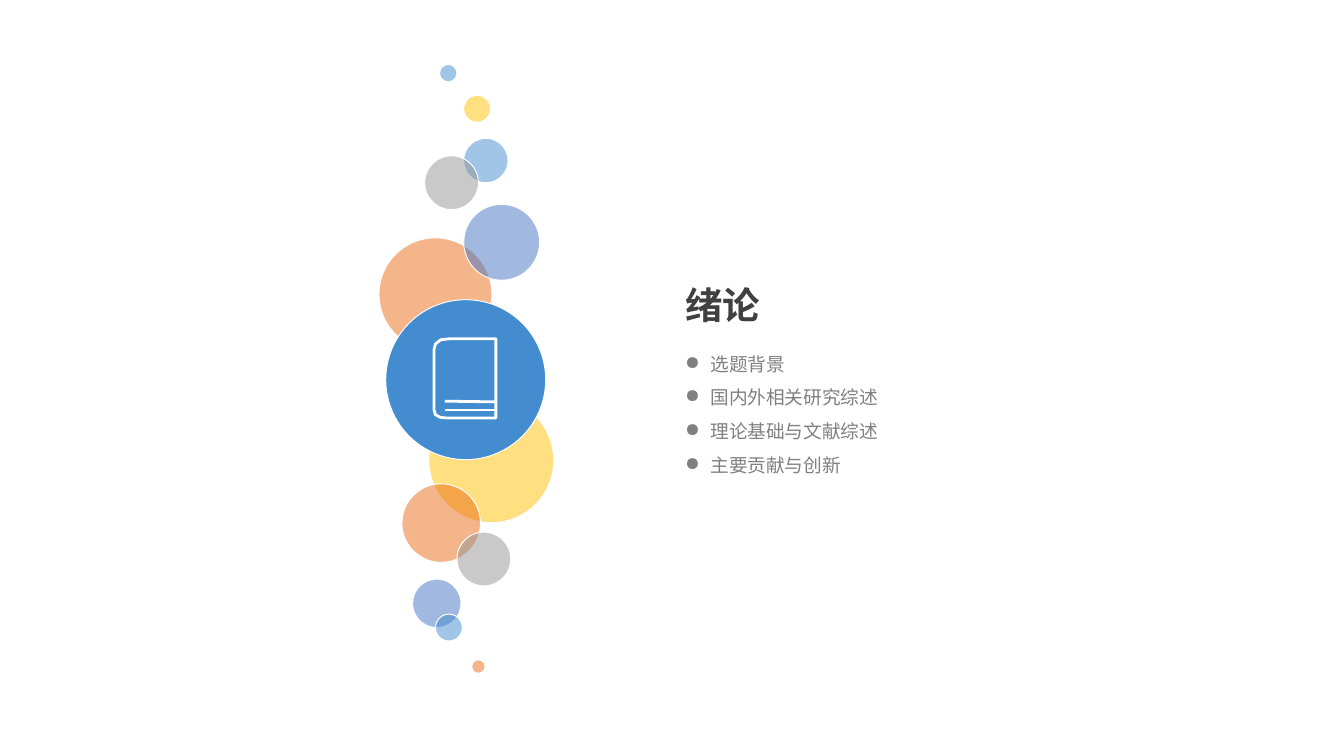
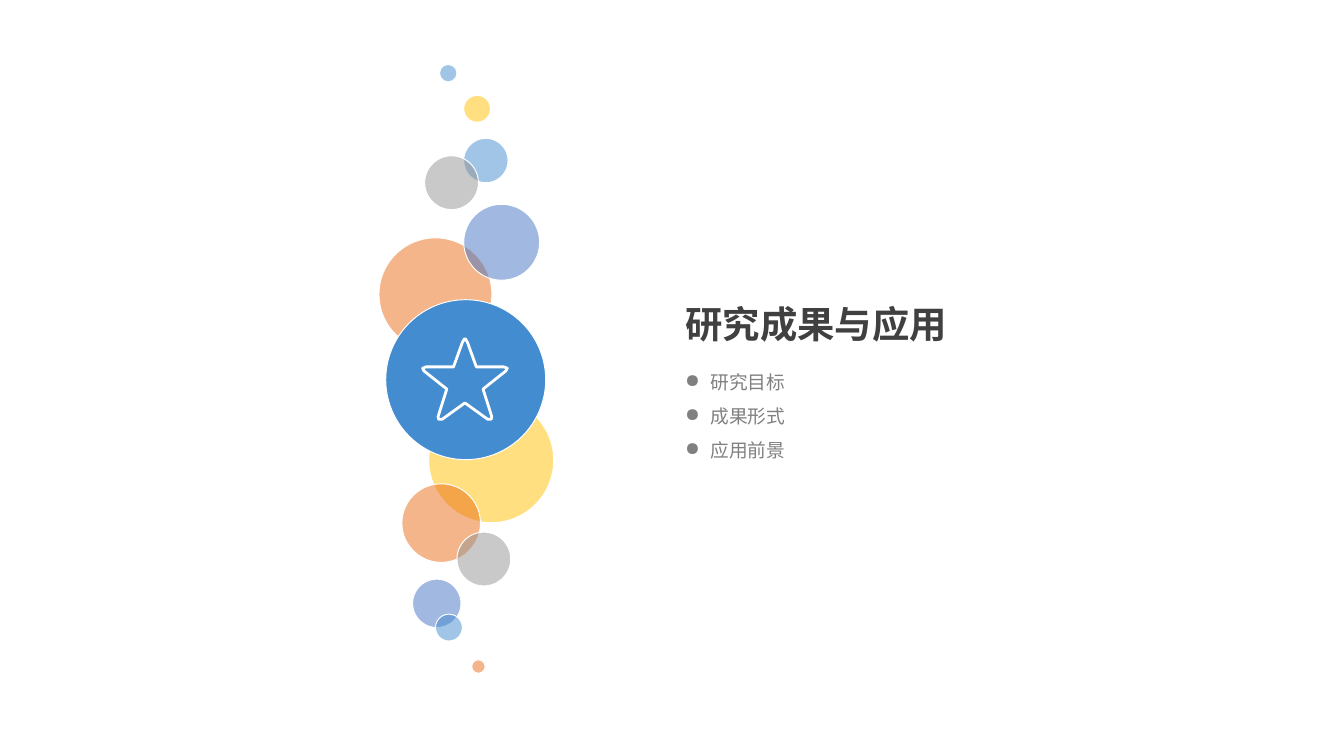
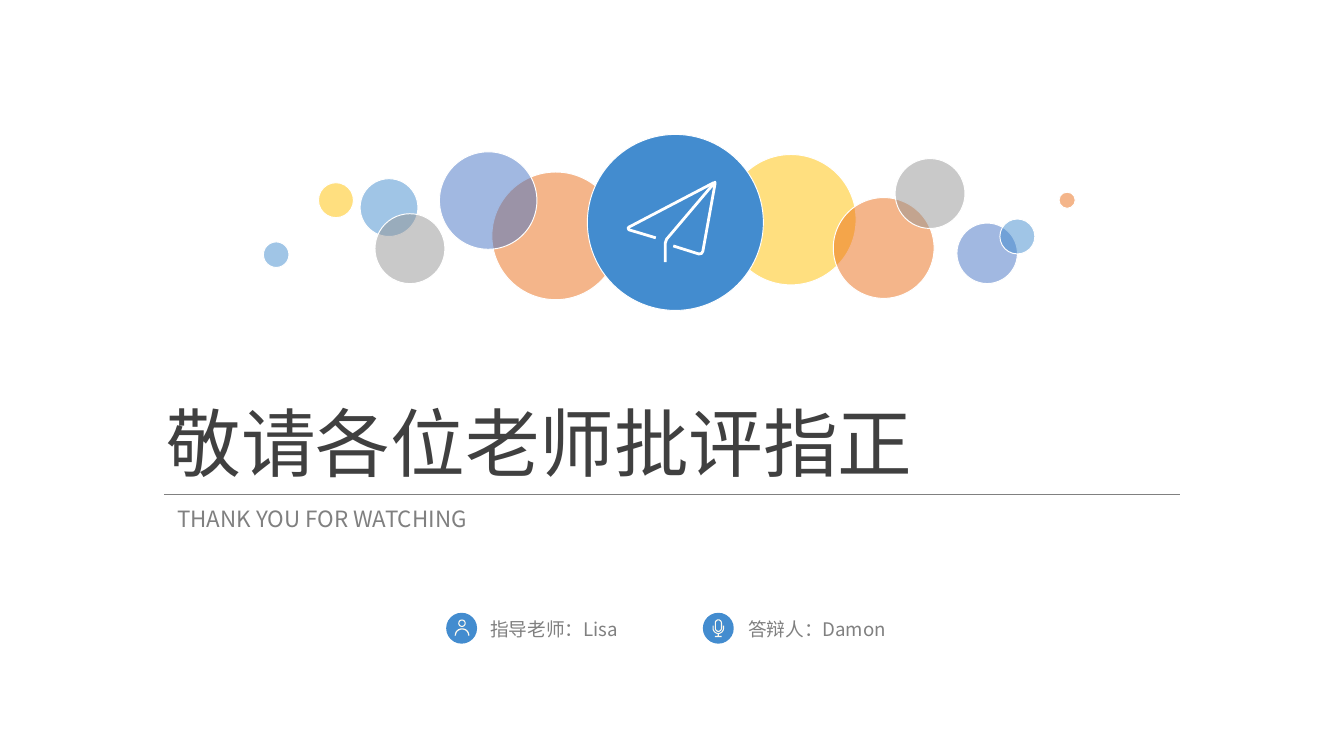
"""Build two section openers and a closing slide decorated with bubbles."""
from math import cos, radians, sin

from lxml.etree import SubElement
from pptx import Presentation
from pptx.dml.color import RGBColor
from pptx.enum.shapes import MSO_CONNECTOR, MSO_SHAPE
from pptx.enum.text import MSO_ANCHOR, MSO_AUTO_SIZE, PP_ALIGN
from pptx.oxml.ns import qn
from pptx.util import Pt

PX = 914.4
FONT = "Noto Sans CJK SC"
BLUE = RGBColor(0x43, 0x8C, 0xCF)
INDIGO = RGBColor(0x44, 0x72, 0xC4)
ORANGE = RGBColor(0xEB, 0x6C, 0x17)
YELLOW = RGBColor(0xFF, 0xC0, 0x00)
SILVER = RGBColor(0x94, 0x94, 0x94)
WHITE = RGBColor(0xFF, 0xFF, 0xFF)
CREAM = RGBColor(0xFE, 0xFA, 0xEE)
DARK = RGBColor(0x40, 0x40, 0x40)
GREY = RGBColor(0x80, 0x80, 0x80)

BUBBLE_COLORS = [YELLOW, ORANGE, INDIGO, SILVER, BLUE, ORANGE,
                 ORANGE, INDIGO, BLUE, SILVER, YELLOW, BLUE]
COLUMN = [(3190, 2960, 930), (2990, 3600, 585), (3070, 4310, 360),
          (3400, 3960, 400), (3240, 4570, 200), (3510, 4910, 100),
          (2820, 1770, 840), (3450, 1520, 565), (3450, 1030, 330),
          (3160, 1160, 400), (3450, 710, 200), (3270, 480, 130)]
ROW = [(5400, 1150, 970), (6200, 1470, 750), (7120, 1660, 450),
       (6660, 1180, 520), (7440, 1630, 260), (7880, 1430, 120),
       (3660, 1280, 950), (3270, 1130, 725), (2680, 1330, 430),
       (2790, 1590, 520), (2370, 1360, 260), (1960, 1800, 190)]

SECTIONS = [
    ("绪论", (5000, 2050, 790, 440), (5000, 2490, 1650, 1110),
     ["选题背景", "国内外相关研究综述", "理论基础与文献综述", "主要贡献与创新"]),
    ("研究成果与应用", (5000, 2190, 2990, 440), (5000, 2630, 950, 830),
     ["研究目标", "成果形式", "应用前景"]),
]
PEOPLE = [("指导老师：Lisa", 3320, 3550, 1180), ("答辩人：Damon", 5230, 5470, 1250)]

BOOK = [[(3690, 2590), (3690, 3110), (3320, 3110), (3275, 3105), (3240, 3085),
         (3230, 3050), (3230, 2600), (3240, 2560), (3280, 2528), (3350, 2520),
         (3690, 2520), (3690, 2990), (3310, 2985)]]
STAR_HALF = [(3465, 2522), (3480, 2550), (3545, 2730), (3750, 2730), (3775, 2740),
             (3765, 2760), (3595, 2895), (3660, 3100), (3655, 3120), (3630, 3120),
             (3463, 3000)]
STAR = [STAR_HALF + [(2 * 3460 - x, y) for x, y in reversed(STAR_HALF)]]
PLANE = [[(4880, 1770), (4680, 1710), (4673, 1698), (4680, 1690), (5310, 1360)],
         [(5010, 1830), (5200, 1890), (5220, 1886), (5230, 1870), (5320, 1370),
          (5320, 1355), (4960, 1780), (4950, 1810), (4950, 1950)]]

HALF_TURN = [(cos(radians(a)), sin(radians(a))) for a in range(0, 181, 15)]
HEAD = [[(3438 + r * c, 4638 - r * s) for c, s in HALF_TURN]
        + [(3438 - r * c, 4638 + r * s) for c, s in HALF_TURN] for r in (28, 20)]
SHOULDERS = [[(3438 + 55 * c, 4730 - 55 * s) for c, s in HALF_TURN]
             + [(3438 - 46 * c, 4730 - 46 * s) for c, s in HALF_TURN]]
CAPSULE = [[(5345 + r * c, 4635 - r * s) for c, s in HALF_TURN]
           + [(5345 - r * c, 4675 + r * s) for c, s in HALF_TURN] for r in (27, 19)]
STAND = [[(5388, 4655)] + [(5345 + 43 * c, 4675 + 43 * s) for c, s in HALF_TURN]
         + [(5302, 4655), (5310, 4655)]
         + [(5345 - 35 * c, 4675 + 35 * s) for c, s in HALF_TURN] + [(5380, 4655)],
         [(5341, 4718), (5349, 4718), (5349, 4732), (5370, 4732),
          (5370, 4740), (5320, 4740), (5320, 4732), (5341, 4732)]]


def paint(shape, fill=None, outline=None, width=0.5):
    """Give a shape its fill and outline, without a shadow."""
    shape.shadow.inherit = False
    if fill is None:
        shape.fill.background()
    else:
        shape.fill.solid()
        shape.fill.fore_color.rgb = fill
    if outline is None:
        shape.line.fill.background()
    else:
        shape.line.color.rgb = outline
        shape.line.width = Pt(width)


def write(shape, lines, size, color, bold=False, align=PP_ALIGN.LEFT, wrap=True,
          anchor=MSO_ANCHOR.TOP, bullets=False):
    """Fill a shape with styled paragraphs."""
    frame = shape.text_frame
    frame.text = "\n".join(lines)
    frame.word_wrap = wrap
    frame.vertical_anchor = anchor
    for para in frame.paragraphs:
        para.alignment = align
        if bullets:
            para.line_spacing = 1.5
            properties = para._p.get_or_add_pPr()
            properties.set("marL", "171450")
            properties.set("indent", "-171450")
            SubElement(properties, qn("a:buChar"), char="●")
        para.font.size = Pt(size)
        para.font.bold = bold
        para.font.color.rgb = color
        para.font.name = FONT
        SubElement(para.font._rPr, qn("a:ea"), typeface=FONT)


deck = Presentation()
deck.slide_width, deck.slide_height = round(10000 * PX), round(5625 * PX)
pages = [deck.slides.add_slide(deck.slide_layouts[5]) for _ in range(3)]
intro, results, closing = pages

titles = [(intro, SECTIONS[0][0], SECTIONS[0][1], 20, True, PP_ALIGN.LEFT),
          (results, SECTIONS[1][0], SECTIONS[1][1], 20, True, PP_ALIGN.LEFT),
          (closing, "敬请各位老师批评指正", (1140, 2900, 7720, 770), 40, False,
           PP_ALIGN.JUSTIFY)]
for page, words, frame, size, bold, align in titles:
    title = page.shapes.title
    title.left, title.top, title.width, title.height = [round(v * PX) for v in frame]
    write(title, [words], size, DARK, bold, align)
    title.text_frame.auto_size = MSO_AUTO_SIZE.SHAPE_TO_FIT_TEXT

for page, bubbles, turn, hub in [(intro, COLUMN, 90, (2870, 2230, 1190)),
                                 (results, COLUMN, 90, (2870, 2230, 1190)),
                                 (closing, ROW, 0, (4370, 1000, 1310))]:
    for (x, y, size), color in zip(bubbles + [hub], BUBBLE_COLORS + [BLUE]):
        bubble = page.shapes.add_shape(
            MSO_SHAPE.OVAL, *[round(v * PX) for v in (x, y, size, size)])
        paint(bubble, color, WHITE)
        if (x, y, size) != hub:
            bubble.rotation = turn
            tint = bubble.fill._xPr.find(qn("a:solidFill"))[0]
            SubElement(tint, qn("a:alpha"), val="50000")

for page, (_, _, frame, topics) in zip(pages, SECTIONS):
    box = page.shapes.add_textbox(*[round(v * PX) for v in frame])
    write(box, topics, 10, GREY, wrap=False, bullets=True)
    box.text_frame.auto_size = MSO_AUTO_SIZE.SHAPE_TO_FIT_TEXT

thanks = closing.shapes.add_shape(
    MSO_SHAPE.ROUNDED_RECTANGLE, *[round(v * PX) for v in (1220, 3750, 7560, 220)])
thanks.adjustments[0] = 0
paint(thanks)
write(thanks, ["THANK YOU FOR WATCHING"], 12, GREY, align=PP_ALIGN.JUSTIFY,
      anchor=MSO_ANCHOR.MIDDLE)

for words, badge_left, text_left, text_width in PEOPLE:
    badge = closing.shapes.add_shape(
        MSO_SHAPE.OVAL, *[round(v * PX) for v in (badge_left, 4560, 230, 230)])
    paint(badge, BLUE)
    box = closing.shapes.add_textbox(
        *[round(v * PX) for v in (text_left, 4550, text_width, 270)])
    write(box, [words], 10, GREY, wrap=False)
    box.text_frame.auto_size = MSO_AUTO_SIZE.SHAPE_TO_FIT_TEXT

for page, contours, closed, fill, outline in [
        (intro, BOOK, False, None, WHITE), (results, STAR, True, None, WHITE),
        (closing, PLANE, False, None, WHITE), (closing, HEAD, True, CREAM, None),
        (closing, SHOULDERS, True, CREAM, None), (closing, CAPSULE, True, CREAM, None),
        (closing, STAND, True, CREAM, None)]:
    builder = page.shapes.build_freeform(*contours[0][0], scale=PX)
    for index, contour in enumerate(contours):
        if index:
            builder.move_to(*contour[0])
        builder.add_line_segments(contour[1:], close=closed)
    paint(builder.convert_to_shape(), fill, outline, 1.5)

for page, ends, color, width in [(intro, (3690, 3050, 3310, 3050), WHITE, 1.5),
                                 (closing, (1220, 3680, 8780, 3680), GREY, 0.5)]:
    rule = page.shapes.add_connector(
        MSO_CONNECTOR.STRAIGHT, *[round(v * PX) for v in ends])
    rule.line.color.rgb = color
    rule.line.width = Pt(width)
    SubElement(rule._element.spPr, qn("a:effectLst"))

deck.save("out.pptx")
